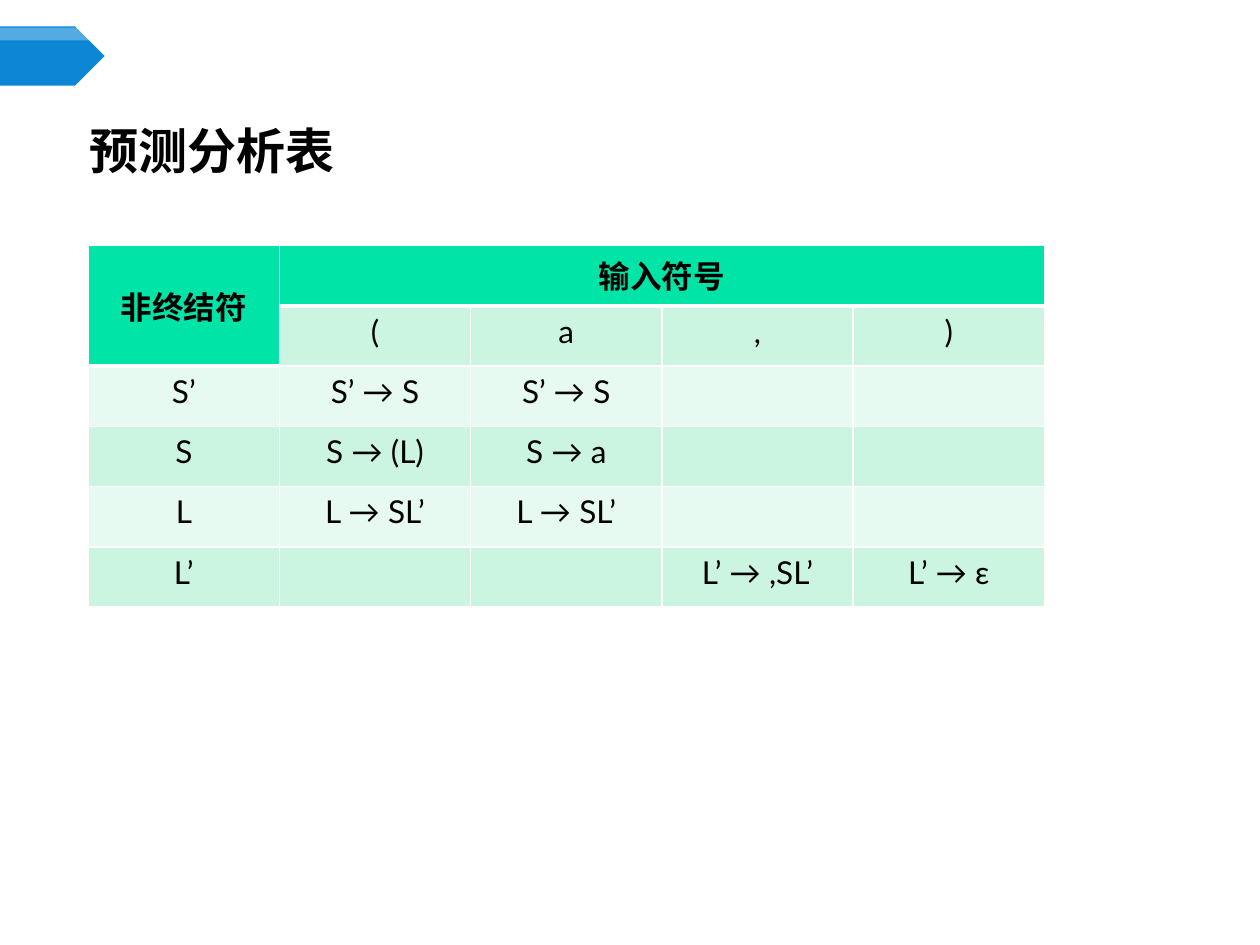
from dataclasses import dataclass

from lxml.etree import SubElement
from pptx import Presentation
from pptx.dml.color import RGBColor as RGB
from pptx.enum.shapes import MSO_SHAPE as Shape
from pptx.enum.text import MSO_ANCHOR as Anchor, PP_ALIGN as Align
from pptx.oxml import parse_xml
from pptx.oxml.ns import nsdecls, qn
from pptx.util import Inches, Pt


@dataclass(frozen=True)
class Theme:
    blue: str = "0B87D6"
    white: str = "FFFFFF"
    black: str = "000000"
    head: str = "00E4A8"
    bands: tuple = ("E7FAF1", "CCF5E1")
    body: str = "Lato"
    title: str = "Times New Roman"
    body_size: int = 18
    title_size: int = 28
    thin: int = 1
    thick: int = 3


THEME = Theme()

ROWS = [
    ["非终结符", "输入符号", "", "", ""],
    ["", "(", "a", ",", ")"],
    ["S’", "S’ → S", "S’ → S", "", ""],
    ["S", "S → (L)", "S → a", "", ""],
    ["L", "L → SL’", "L → SL’", "", ""],
    ["L’", "", "", "L’ → ,SL’", "L’ → ε"],
]


def write(frame, text, font=THEME.body, size=THEME.body_size,
          bold=False, align=Align.CENTER):
    para = frame.paragraphs[0]
    para.text = text
    para.alignment = align
    para.font.name = font
    para.font.size = Pt(size)
    para.font.bold = bold
    para.font.color.rgb = RGB.from_string(THEME.black)


def add_plate(slide, box, color, alpha=None):
    plate = slide.shapes.add_shape(Shape.PENTAGON, *map(Inches, box))
    plate.shadow.inherit = False
    plate.line.fill.background()
    plate.fill.solid()
    plate.fill.fore_color.rgb = RGB.from_string(color)
    if alpha is not None:
        tint = plate.fill._xPr.find(".//" + qn("a:srgbClr"))
        SubElement(tint, qn("a:alpha"), val=str(alpha * 1000))


def add_banner(slide, left, top, width, height):
    """Blue arrow with a pale strip along its upper edge."""
    add_plate(slide, (left, top, width, height), THEME.blue)
    add_plate(slide, (left, top + 0.01, width, 0.1), THEME.white, alpha=30)


def set_title(slide, text, left, top, width, height):
    title = slide.shapes.title
    title.left, title.top = Inches(left), Inches(top)
    title.width, title.height = Inches(width), Inches(height)
    frame = title.text_frame
    frame.word_wrap = True
    frame.vertical_anchor = Anchor.TOP
    write(frame, text, THEME.title, THEME.title_size, True, Align.LEFT)


def is_head(row, col):
    return row == 0 or (row == 1 and col == 0)


def set_edges(cell, row, col):
    """White rules, heavier where the header meets the body."""
    head = is_head(row, col)
    below = not head and is_head(row - 1, col)
    sizes = {
        "lnL": THEME.thin,
        "lnR": THEME.thin,
        "lnT": THEME.thick if below else THEME.thin,
        "lnB": THEME.thick if head else THEME.thin,
    }
    props = cell._tc.get_or_add_tcPr()
    for spot, (tag, size) in enumerate(sizes.items()):
        props.insert(spot, parse_xml(
            f'<a:{tag} {nsdecls("a")} w="{Pt(size)}"><a:solidFill>'
            f'<a:srgbClr val="{THEME.white}"/></a:solidFill></a:{tag}>'))


def add_grid(slide, rows, left, top, width, height):
    count, span = len(rows), len(rows[0])
    grid = slide.shapes.add_table(
        count, span, *map(Inches, (left, top, width, height))).table
    for col in grid.columns:
        col.width = Inches(width / span)
    for line in grid.rows:
        line.height = Inches(height / count)
    grid.cell(0, 0).merge(grid.cell(1, 0))
    grid.cell(0, 1).merge(grid.cell(0, span - 1))
    for row, texts in enumerate(rows):
        for col, text in enumerate(texts):
            cell, head = grid.cell(row, col), is_head(row, col)
            cell.fill.solid()
            color = THEME.head if head else THEME.bands[row % 2]
            cell.fill.fore_color.rgb = RGB.from_string(color)
            set_edges(cell, row, col)
            if text:
                write(cell.text_frame, text, bold=head)
    grid.cell(0, 0).vertical_anchor = Anchor.MIDDLE


def main():
    deck = Presentation()
    deck.slide_width, deck.slide_height = Inches(10), Inches(7.5)
    slide = deck.slides.add_slide(deck.slide_layouts.get_by_name("Title Only"))
    add_banner(slide, 0, 0.21, 0.83, 0.47)
    add_grid(slide, ROWS, 0.7, 1.95, 7.59, 2.87)
    set_title(slide, "预测分析表", 0.61, 0.91, 5, 0.57)
    deck.save("out.pptx")


if __name__ == "__main__":
    main()
